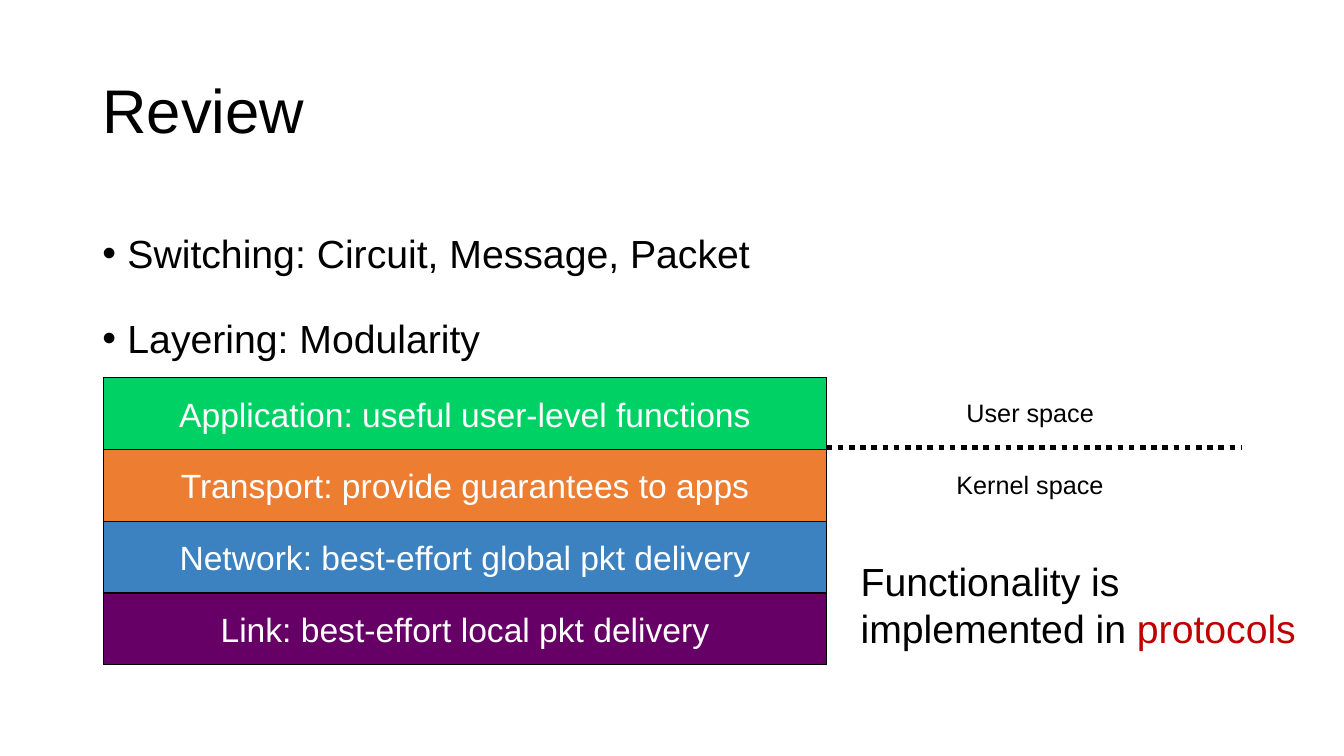
from dataclasses import dataclass

from lxml import etree
from pptx import Presentation
from pptx.dml.color import RGBColor
from pptx.enum import dml, shapes, text
from pptx.oxml import ns
from pptx.util import Pt


@dataclass(frozen=True)
class Theme:
    font: str = "Arial"
    black: str = "000000"
    white: str = "FFFFFF"
    red: str = "C00000"
    green: str = "00D164"
    orange: str = "ED7D31"
    blue: str = "3C82C0"
    purple: str = "660066"
    title: int = 44
    body: int = 28
    layer: int = 24
    label: int = 18


theme = Theme()


def write(para, words, size=theme.body, colour=theme.black, align=None):
    """Add a formatted span of text to a paragraph."""
    if align is not None:
        para.alignment = align
    span = para.add_run()
    span.text = words
    span.font.name = theme.font
    span.font.size = Pt(size)
    span.font.color.rgb = RGBColor.from_string(colour)


def add_box(left, top, width, height):
    """Add a wrapping text box and return its text frame."""
    box = page.shapes.add_textbox(Pt(left), Pt(top), Pt(width), Pt(height))
    box.text_frame.word_wrap = True
    return box.text_frame


deck = Presentation()
deck.slide_width, deck.slide_height = Pt(960), Pt(540)
page = deck.slides.add_slide(deck.slide_layouts[5])

# Title
title = page.shapes.title
title.left, title.top, title.width, title.height = Pt(66), Pt(28.75), Pt(828), Pt(104.4)
title.text_frame.vertical_anchor = text.MSO_ANCHOR.MIDDLE
title.text_frame.paragraphs[0].line_spacing = 0.9
write(title.text_frame.paragraphs[0], "Review", size=theme.title, align=text.PP_ALIGN.LEFT)

# Bulleted topics
topics = add_box(66, 143.75, 828, 342.6)
for index, topic in enumerate(["Switching: Circuit, Message, Packet", "Layering: Modularity"]):
    para = topics.add_paragraph() if index else topics.paragraphs[0]
    para.line_spacing = 1.5
    para.space_before = Pt(10 if index else 0)
    properties = para._p.get_or_add_pPr()
    properties.set("marL", str(Pt(18)))
    properties.set("indent", str(-Pt(18)))
    etree.SubElement(properties, ns.qn("a:buFont"), typeface=theme.font)
    etree.SubElement(properties, ns.qn("a:buChar"), char="•")
    write(para, topic)

# Layer stack, from top to bottom
stack_left, stack_top, stack_width, layer_height = 73.75, 270, 516.75, 51.2
layers = [
    ("Application: useful user-level functions", theme.green),
    ("Transport: provide guarantees to apps", theme.orange),
    ("Network: best-effort global pkt delivery", theme.blue),
    ("Link: best-effort local pkt delivery", theme.purple),
]
for index, (words, fill) in enumerate(layers):
    layer = page.shapes.add_shape(
        shapes.MSO_SHAPE.RECTANGLE,
        Pt(stack_left), Pt(stack_top + index * layer_height),
        Pt(stack_width), Pt(layer_height),
    )
    layer.shadow.inherit = False
    layer.fill.solid()
    layer.fill.fore_color.rgb = RGBColor.from_string(fill)
    layer.line.color.rgb = RGBColor.from_string(theme.black)
    layer.line.width = Pt(0.75)
    layer.text_frame.word_wrap = False
    layer.text_frame.vertical_anchor = text.MSO_ANCHOR.MIDDLE
    write(layer.text_frame.paragraphs[0], words, size=theme.layer,
          colour=theme.white, align=text.PP_ALIGN.CENTER)

# Boundary between user and kernel space
boundary = page.shapes.add_connector(
    shapes.MSO_CONNECTOR.STRAIGHT,
    Pt(stack_left + stack_width), Pt(319.7), Pt(886.5), Pt(319.7),
)
boundary.line.color.rgb = RGBColor.from_string(theme.black)
boundary.line.width = Pt(4)
boundary.line.dash_style = dml.MSO_LINE.ROUND_DOT
etree.SubElement(boundary._element.spPr, ns.qn("a:effectLst"))

for words, left, top, width in [
    ("User space", 683.3, 280.3, 117.4),
    ("Kernel space", 676.1, 331.7, 131.8),
]:
    write(add_box(left, top, width, 29).paragraphs[0], words, size=theme.label)

# Closing remark
remark = add_box(607.7, 394.6, 333.4, 75).paragraphs[0]
write(remark, "Functionality is implemented in ")
write(remark, "protocols", colour=theme.red)

deck.save("out.pptx")
